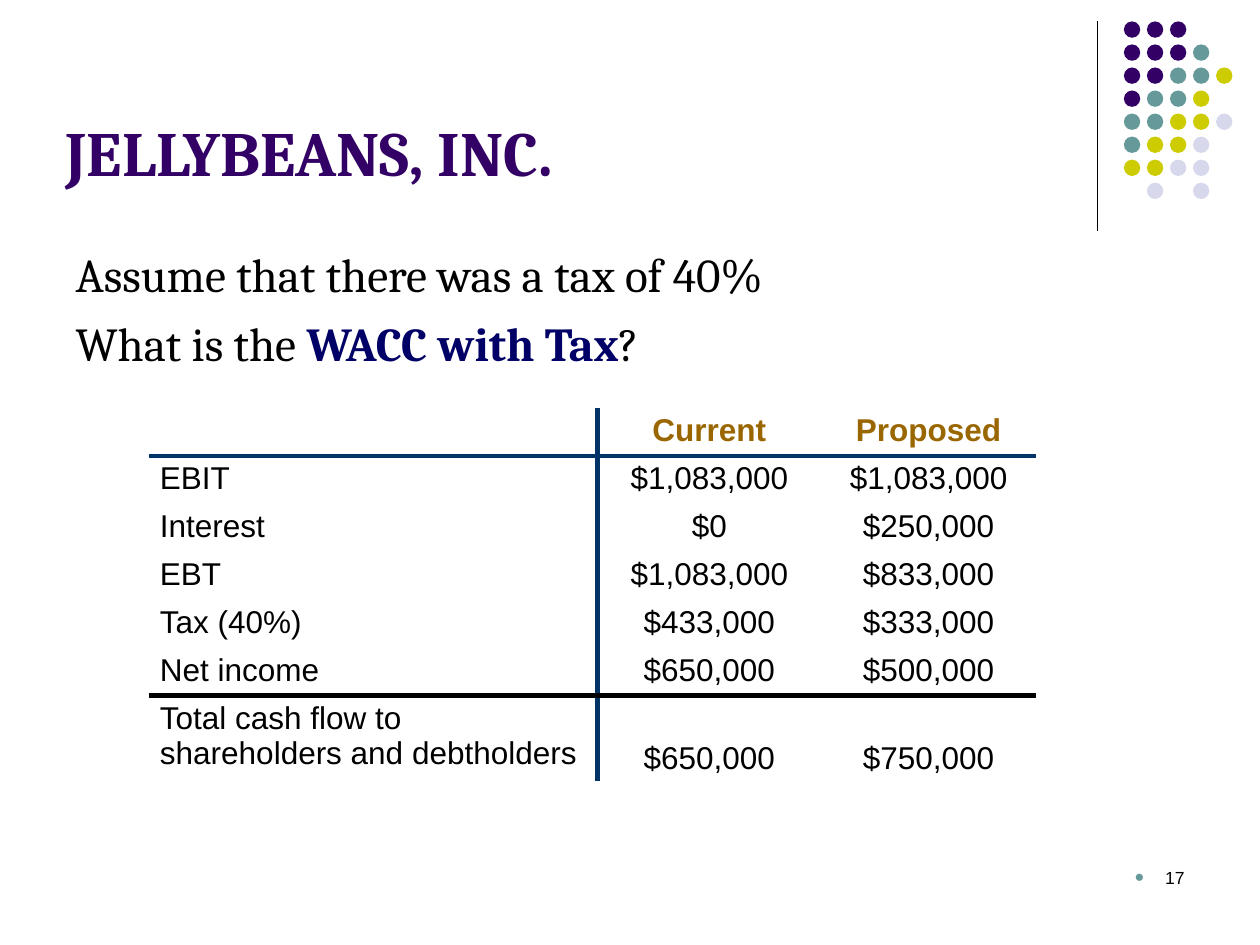
from dataclasses import dataclass

from lxml.etree import SubElement
from pptx import Presentation
from pptx.dml.color import RGBColor
from pptx.enum.shapes import MSO_CONNECTOR, MSO_SHAPE
from pptx.enum.text import MSO_ANCHOR, MSO_AUTO_SIZE, PP_ALIGN
from pptx.oxml.ns import qn
from pptx.util import Inches, Pt


@dataclass(frozen=True)
class Theme:
    heading_font: str = "Cambria"
    table_font: str = "Arial"
    ink: str = "000000"
    purple: str = "330066"
    teal: str = "669999"
    lime: str = "CCCC00"
    lavender: str = "D8D8EC"
    navy: str = "000066"
    rule: str = "003366"
    gold: str = "996600"
    title_size: float = 36
    body_size: float = 27
    table_size: float = 18
    number_size: float = 10


THEME = Theme()

# One letter per dot: purple, teal, lime, lavender; a space leaves a gap
DOT_ROWS = ["PPP", "PPPT", "PPTTL", "PTTL", "TTLLV", "TLLV", "LLVV", " V V"]
DOT_COLORS = {"P": THEME.purple, "T": THEME.teal, "L": THEME.lime, "V": THEME.lavender}

TABLE_ROWS = [
    ("", "Current", "Proposed"),
    ("EBIT", "$1,083,000", "$1,083,000"),
    ("Interest", "$0", "$250,000"),
    ("EBT", "$1,083,000", "$833,000"),
    ("Tax (40%)", "$433,000", "$333,000"),
    ("Net income", "$650,000", "$500,000"),
    ("Total cash flow to shareholders and debtholders", "$650,000", "$750,000"),
]
COLUMN_WIDTHS = [3.56, 1.78, 1.7]
ROW_HEIGHTS = [0.34] * 6 + [0.6]


def add_text(paragraph, text, *, font=THEME.heading_font, size=THEME.body_size,
             color=THEME.ink, bold=False, align=PP_ALIGN.LEFT):
    paragraph.alignment = align
    run = paragraph.add_run()
    run.text = text
    run.font.name = font
    run.font.size = Pt(size)
    run.font.bold = bold
    run.font.color.rgb = RGBColor.from_string(color)


def place(shape, left, top, width, height):
    shape.left, shape.top = Inches(left), Inches(top)
    shape.width, shape.height = Inches(width), Inches(height)


def set_indent(paragraph, hanging):
    properties = paragraph._p.get_or_add_pPr()
    properties.set("marL", str(Inches(hanging)))
    properties.set("indent", str(-Inches(hanging)))
    return properties


def add_decoration(slide, left, top, height):
    # Vertical rule
    line = slide.shapes.add_connector(
        MSO_CONNECTOR.STRAIGHT, Inches(left), Inches(top), Inches(left), Inches(top + height))
    line.line.color.rgb = RGBColor.from_string(THEME.ink)
    line.line.width = Pt(0.75)
    SubElement(line._element.spPr, qn("a:effectLst"))

    # Dot grid to the right of the rule
    pitch, diameter = 1.28 / 7, 0.13
    group = slide.shapes.add_group_shape()
    for row, letters in enumerate(DOT_ROWS):
        for column, letter in enumerate(letters):
            if letter == " ":
                continue
            dot = group.shapes.add_shape(
                MSO_SHAPE.OVAL, Inches(left + 0.21 + column * pitch),
                Inches(top + row * pitch), Inches(diameter), Inches(diameter))
            dot.shadow.inherit = False
            dot.fill.solid()
            dot.fill.fore_color.rgb = RGBColor.from_string(DOT_COLORS[letter])
            dot.line.fill.background()


def fill_title(title, *box):
    place(title, *box)
    frame = title.text_frame
    frame.auto_size = MSO_AUTO_SIZE.NONE
    frame.vertical_anchor = MSO_ANCHOR.BOTTOM
    add_text(frame.paragraphs[0], "JELLYBEANS, INC.", size=THEME.title_size,
             color=THEME.purple, bold=True)


def fill_body(body, *box):
    place(body, *box)
    frame = body.text_frame
    frame.auto_size = MSO_AUTO_SIZE.NONE
    assumption, question = frame.paragraphs[0], frame.add_paragraph()
    for paragraph in (assumption, question):
        paragraph.space_before = Pt(THEME.body_size * 0.25)
        SubElement(set_indent(paragraph, 0.38), qn("a:buNone"))
    add_text(assumption, "Assume that there was a tax of 40%")
    add_text(question, "What is the ")
    add_text(question, "WACC with Tax", color=THEME.navy, bold=True)
    add_text(question, "?")


def set_borders(cell, colors):
    properties = cell._tc.get_or_add_tcPr()
    for side in "LRTB":
        line = SubElement(properties, qn(f"a:ln{side}"), w=str(Pt(3)))
        if side in colors:
            fill = SubElement(line, qn("a:solidFill"))
            SubElement(fill, qn("a:srgbClr"), val=colors[side])
        else:
            SubElement(line, qn("a:noFill"))


def cell_borders(row, column):
    rules_below = {0: THEME.rule, 5: THEME.ink}
    colors = {}
    if column == 0:
        colors["R"] = THEME.rule
    if column == 1:
        colors["L"] = THEME.rule
    if row in rules_below:
        colors["B"] = rules_below[row]
    if row - 1 in rules_below:
        colors["T"] = rules_below[row - 1]
    return colors


def add_income_table(slide, left, top):
    table = slide.shapes.add_table(
        len(ROW_HEIGHTS), len(COLUMN_WIDTHS), Inches(left), Inches(top),
        Inches(sum(COLUMN_WIDTHS)), Inches(sum(ROW_HEIGHTS))).table
    table.first_row = table.horz_banding = False
    for column, width in zip(table.columns, COLUMN_WIDTHS):
        column.width = Inches(width)
    for row, height in zip(table.rows, ROW_HEIGHTS):
        row.height = Inches(height)

    for row, texts in enumerate(TABLE_ROWS):
        for column, text in enumerate(texts):
            cell = table.cell(row, column)
            set_borders(cell, cell_borders(row, column))
            cell.fill.background()
            cell.margin_left = cell.margin_right = Inches(0.09)
            cell.margin_top = cell.margin_bottom = Inches(0.04)
            if row == len(TABLE_ROWS) - 1 and column > 0:
                cell.vertical_anchor = MSO_ANCHOR.BOTTOM
            if text:
                add_text(cell.text_frame.paragraphs[0], text,
                         font=THEME.table_font, size=THEME.table_size,
                         color=THEME.gold if row == 0 else THEME.ink, bold=row == 0,
                         align=PP_ALIGN.CENTER if column else PP_ALIGN.LEFT)


def add_page_number(slide, *box):
    text_box = slide.shapes.add_textbox(*map(Inches, box))
    text_box.text_frame.word_wrap = True
    paragraph = text_box.text_frame.paragraphs[0]
    add_text(paragraph, "17", font=THEME.table_font, size=THEME.number_size,
             align=PP_ALIGN.RIGHT)
    # Teal bullet before the number
    properties = set_indent(paragraph, 0.24)
    color = SubElement(properties, qn("a:buClr"))
    SubElement(color, qn("a:srgbClr"), val=THEME.teal)
    SubElement(properties, qn("a:buSzPct"), val="150000")
    SubElement(properties, qn("a:buFont"), typeface=THEME.table_font)
    SubElement(properties, qn("a:buChar"), char="•")


def main():
    presentation = Presentation()
    presentation.slide_width, presentation.slide_height = Inches(10), Inches(7.5)
    slide = presentation.slides.add_slide(presentation.slide_layouts[1])
    add_decoration(slide, 8.71, 0.17, 1.66)
    fill_body(slide.placeholders[1], 0.5, 1.9, 9.25, 5.1)
    add_page_number(slide, 7.17, 6.83, 2.33, 0.5)
    fill_title(slide.shapes.title, 0.42, 0.3, 9.17, 1.25)
    add_income_table(slide, 1.18, 3.24)
    presentation.save("out.pptx")


if __name__ == "__main__":
    main()
